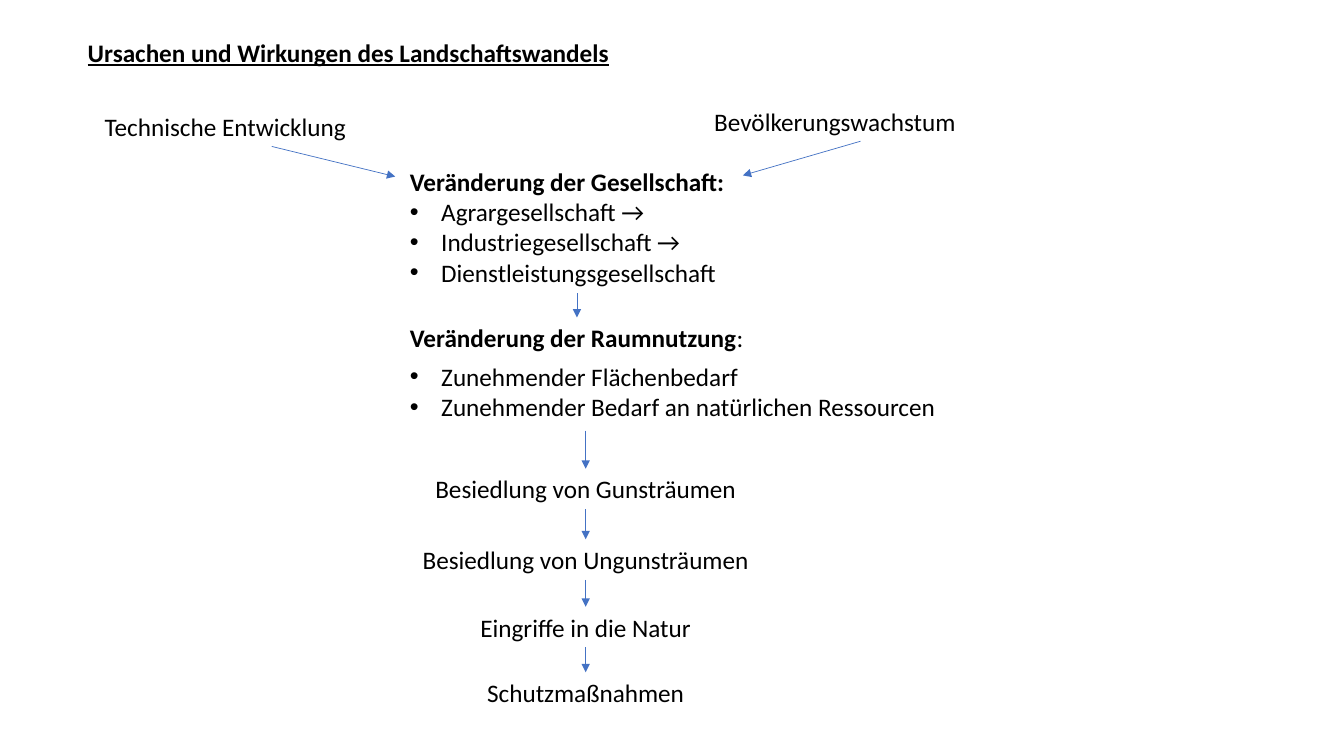
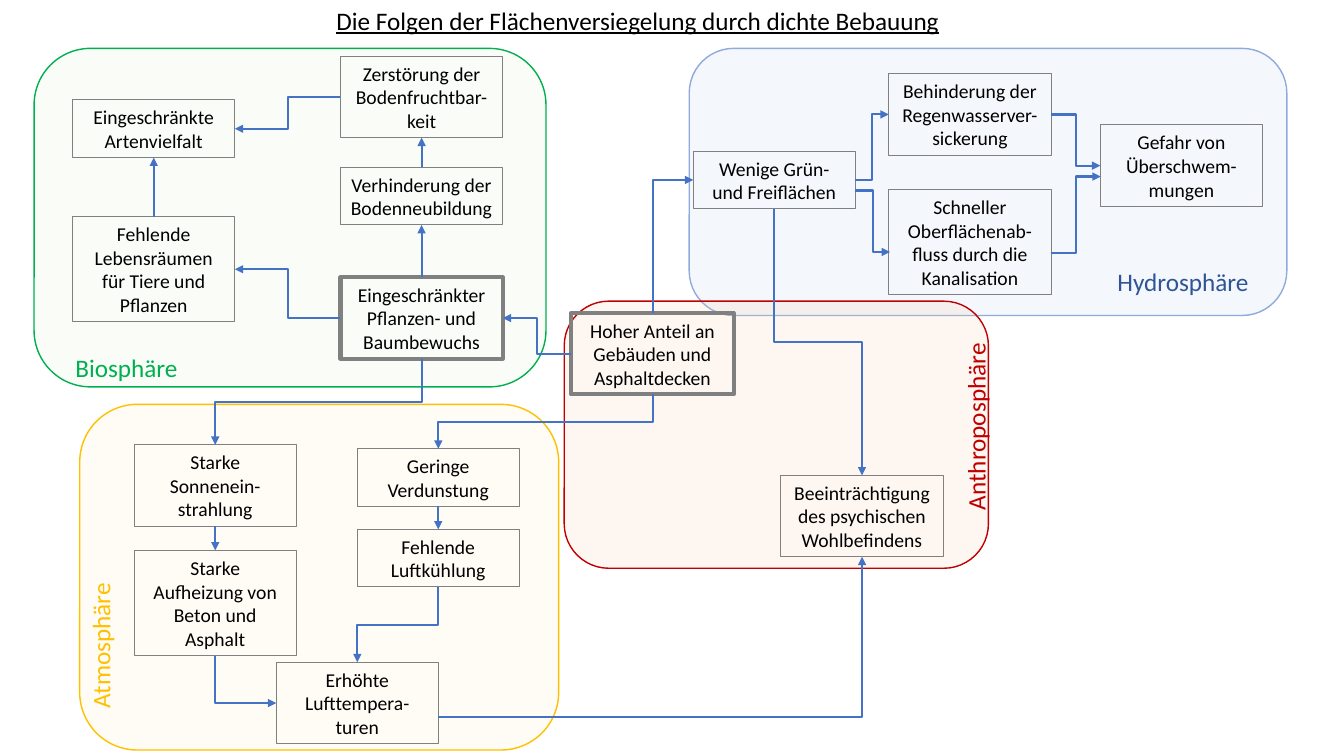
from lxml import etree
from pptx import Presentation
from pptx.dml.color import RGBColor
from pptx.enum.shapes import MSO_CONNECTOR, MSO_SHAPE
from pptx.enum.text import MSO_ANCHOR, MSO_AUTO_SIZE, PP_ALIGN
from pptx.oxml.ns import qn
from pptx.util import Cm, Pt

STRAIGHT, ELBOW = MSO_CONNECTOR.STRAIGHT, MSO_CONNECTOR.ELBOW
RECT, ROUNDED = MSO_SHAPE.RECTANGLE, MSO_SHAPE.ROUNDED_RECTANGLE
LEFT, CENTER = PP_ALIGN.LEFT, PP_ALIGN.CENTER
TOP, MIDDLE = MSO_ANCHOR.TOP, MSO_ANCHOR.MIDDLE
N, W, S, E = range(4)

FONT = "Calibri"
COLORS = {
    "text": "000000", "arrow": "4472C4", "box": "808080",
    "atmo": "FFC000", "atmo_fill": "FFF2CC",
    "bio": "00B050", "bio_fill": "E2F0D9",
    "hydro": "8FAADC", "hydro_fill": "B4C7E7", "hydro_label": "2F5597",
    "anthro": "C00000", "anthro_fill": "F8CBAD",
}
LINE_H = 1.02
BOX_W = 4.09


def rgb(name):
    return RGBColor.from_string(COLORS[name])


def add_run(p, text, size=18, color="text", bold=False, underline=False):
    r = p.add_run()
    r.text = text
    r.font.name = FONT
    r.font.size = Pt(size)
    r.font.color.rgb = rgb(color)
    r.font.bold = bold
    r.font.underline = underline


def set_frame(tf, anchor=TOP):
    tf.word_wrap = True
    tf.auto_size = MSO_AUTO_SIZE.NONE
    tf.vertical_anchor = anchor
    tf.margin_left = tf.margin_right = Cm(0.25)
    tf.margin_top = tf.margin_bottom = Cm(0.13)


def add_text(s, left, top, width, text="", height=LINE_H, color="text", align=LEFT):
    sp = s.shapes.add_textbox(Cm(left), Cm(top), Cm(width), Cm(height))
    set_frame(sp.text_frame)
    p = sp.text_frame.paragraphs[0]
    p.alignment = align
    if text:
        add_run(p, text, color=color)
    return sp


def add_bullet(p, text):
    pPr = p._p.get_or_add_pPr()
    pPr.set("marL", str(Cm(0.79)))
    pPr.set("indent", str(-Cm(0.79)))
    etree.SubElement(pPr, qn("a:buFont")).set("typeface", "Arial")
    etree.SubElement(pPr, qn("a:buChar")).set("char", "•")
    add_run(p, text)


def add_slide(prs, title, left, top, width, bold=False):
    s = prs.slides.add_slide(prs.slide_layouts[5])
    sp = s.shapes.title
    sp.left, sp.top, sp.width, sp.height = Cm(left), Cm(top), Cm(width), Cm(LINE_H)
    set_frame(sp.text_frame)
    p = sp.text_frame.paragraphs[0]
    p.alignment = LEFT
    add_run(p, title, bold=bold, underline=True)
    return s


def side_point(end, side):
    if isinstance(end, tuple):
        return Cm(end[0]), Cm(end[1])
    x = end.left + (0, 0.5, 1)[{W: 0, E: 2}.get(side, 1)] * end.width
    y = end.top + (0, 0.5, 1)[{N: 0, S: 2}.get(side, 1)] * end.height
    return int(x), int(y)


def bend(c, start, end, start_side, end_side):
    (x1, y1), (x2, y2) = start, end
    dx, dy = x2 - x1, y2 - y1
    if start_side in (N, S):
        if dx > 0 and dy > 0:
            rot, along, across = 270, -dy, dx
        else:
            rot, along, across = 90, dy, -dx
    elif dx < 0:
        rot, along, across = 180, -dx, -dy
    else:
        rot, along, across = 0, dx, dy
    c.width, c.height = abs(along), abs(across)
    c.left = (x1 + x2 - c.width) // 2
    c.top = (y1 + y2 - c.height) // 2
    xfrm = c._element.spPr.find(qn("a:xfrm"))
    xfrm.set("rot", str(rot * 60000))
    xfrm.set("flipH", str(int(along < 0)))
    xfrm.set("flipV", str(int(across < 0)))
    if start_side % 2 != end_side % 2:
        c._element.spPr.find(qn("a:prstGeom")).set("prst", "bentConnector2")


def add_arrow(s, start, start_side, end, end_side, kind=STRAIGHT, weight=0.5):
    p1, p2 = side_point(start, start_side), side_point(end, end_side)
    c = s.shapes.add_connector(kind, *p1, *p2)
    if not isinstance(start, tuple):
        c.begin_connect(start, start_side)
    if not isinstance(end, tuple):
        c.end_connect(end, end_side)
    if kind == ELBOW:
        bend(c, p1, p2, start_side, end_side)
    c.line.color.rgb = rgb("arrow")
    c.line.width = Pt(weight)
    etree.SubElement(c.line._get_or_add_ln(), qn("a:tailEnd")).set("type", "triangle")
    etree.SubElement(c._element.spPr, qn("a:effectLst"))


def add_society(s, left, top):
    society = add_text(s, left, top, 8.92, height=3.33)
    tf = society.text_frame
    add_run(tf.paragraphs[0], "Veränderung der Gesellschaft:", bold=True)
    for text in ("Agrargesellschaft →", "Industriegesellschaft →",
                 "Dienstleistungsgesellschaft"):
        add_bullet(tf.add_paragraph(), text)
    technology = add_text(s, left - 7.69, top - 1.39, 8.92, "Technische Entwicklung")
    population = add_text(s, left + 7.67, top - 1.52, 7.87, "Bevölkerungswachstum")
    add_arrow(s, technology, S, (left - 0.12, top + 0.39), W)
    add_arrow(s, population, S, (left + 8.64, top + 0.36), E)
    return society


def add_land_use(s, left, top):
    heading = add_text(s, left, top, 8.92)
    p = heading.text_frame.paragraphs[0]
    add_run(p, "Veränderung der Raumnutzung", bold=True)
    add_run(p, ":")
    tf = add_text(s, left, top + 0.97, 14.76, height=1.8).text_frame
    add_bullet(tf.paragraphs[0], "Zunehmender Flächenbedarf")
    add_bullet(tf.add_paragraph(), "Zunehmender Bedarf an natürlichen Ressourcen")
    return heading


def add_consequences(s, left, top, width):
    previous = (left + width / 2, top - 0.96)
    for offset, text in ((0, "Besiedlung von Gunsträumen"),
                         (1.78, "Besiedlung von Ungunsträumen"),
                         (3.48, "Eingriffe in die Natur"),
                         (5.13, "Schutzmaßnahmen")):
        step = add_text(s, left, top + offset, width, text, align=CENTER)
        add_arrow(s, previous, S, step, N)
        previous = step


def build_causes(prs):
    s = add_slide(prs, "Ursachen und Wirkungen des Landschaftswandels",
                  1.96, 0.81, 25.27, bold=True)
    society = add_society(s, 10.08, 4.06)
    land_use = add_land_use(s, 10.08, 8)
    add_arrow(s, society, S, land_use, N)
    add_consequences(s, 10.3, 11.81, 8.92)


def add_outline(s, shape, left, top, width, height, color, weight):
    sp = s.shapes.add_shape(shape, Cm(left), Cm(top), Cm(width), Cm(height))
    sp.shadow.inherit = False
    sp.fill.background()
    sp.line.color.rgb = rgb(color)
    sp.line.width = Pt(weight)
    return sp


def add_box(s, left, top, lines, text, weight=0.75):
    sp = add_outline(s, RECT, left, top, BOX_W, 0.25 + 0.6 * lines, "box", weight)
    set_frame(sp.text_frame, MIDDLE)
    p = sp.text_frame.paragraphs[0]
    p.alignment = CENTER
    add_run(p, text, size=14)
    return sp


def add_sphere(s, area, color, alpha, label, boxes):
    left, top, width, height = area
    sp = add_outline(s, ROUNDED, left, top, width, height, color, 1)
    sp.fill.solid()
    sp.fill.fore_color.rgb = rgb(color + "_fill")
    clr = sp._element.spPr.find(qn("a:solidFill"))[0]
    etree.SubElement(clr, qn("a:alpha")).set("val", str(alpha * 1000))
    text, x, y, label_width, rotation, label_color = label
    add_text(s, left + x, top + y, label_width, text,
             color=label_color).rotation = rotation
    return [add_box(s, left + x, top + y, *rest) for x, y, *rest in boxes]


def build_sealing(prs):
    s = add_slide(prs, "Die Folgen der Flächenversiegelung durch dichte Bebauung",
                  8.23, 0, 17.35)
    sun, heating, evaporation, cooling, warm_air = add_sphere(
        s, (2.01, 10.19, 12.07, 8.71), "atmo", 17,
        ("Atmosphäre", -1.9, 4.98, 4.83, 270, "atmo"),
        [(1.37, 1.02, 3, "Starke Sonnenein-strahlung"),
         (1.37, 3.68, 4, "Starke Aufheizung von Beton und Asphalt"),
         (6.99, 1.12, 2, "Geringe Verdunstung"),
         (6.99, 3.15, 2, "Fehlende Luftkühlung"),
         (4.95, 6.5, 3, "Erhöhte Lufttempera-turen")])
    fertility, soil, plants, species, habitats = add_sphere(
        s, (0.86, 1.22, 12.9, 8.53), "bio", 17,
        ("Biosphäre", 0.79, 7.52, 3.35, 0, "bio"),
        [(7.72, 0.2, 3, "Zerstörung der Bodenfruchtbar-keit"),
         (7.72, 3, 2, "Verhinderung der Bodenneubildung"),
         (7.72, 5.77, 3, "Eingeschränkter Pflanzen- und Baumbewuchs", 3),
         (0.97, 1.3, 2, "Eingeschränkte Artenvielfalt"),
         (0.97, 4.24, 4, "Fehlende Lebensräumen für Tiere und Pflanzen")])
    green, seepage, runoff, flooding = add_sphere(
        s, (17.37, 1.22, 15.06, 6.73), "hydro", 14,
        ("Hydrosphäre", 10.54, 5.36, 4.83, 0, "hydro_label"),
        [(0.1, 2.59, 2, "Wenige Grün- und Freiflächen"),
         (5.03, 0.64, 3, "Behinderung der Regenwasserver-sickerung"),
         (5.03, 3.56, 4, "Schneller Oberflächenab-fluss durch die Kanalisation"),
         (10.36, 1.93, 3, "Gefahr von Überschwem-mungen")])
    buildings, wellbeing = add_sphere(
        s, (14.22, 7.59, 10.69, 6.73), "anthro", 17,
        ("Anthroposphäre", 7.95, 2.59, 4.83, 270, "anthro"),
        [(0.18, 0.3, 3, "Hoher Anteil an Gebäuden und Asphaltdecken", 3),
         (5.46, 4.39, 3, "Beeinträchtigung des psychischen Wohlbefindens")])

    for start, start_side, end, end_side in (
            (habitats, N, species, S), (plants, N, soil, S), (soil, N, fertility, S),
            (evaporation, S, cooling, N), (sun, S, heating, N)):
        add_arrow(s, start, start_side, end, end_side, weight=1.5)
    for start, start_side, end, end_side in (
            (buildings, N, green, W), (buildings, W, plants, E),
            (buildings, S, evaporation, N), (green, E, seepage, W),
            ((21.56, 4.8), E, (22.43, 6.35), W), (seepage, E, flooding, W),
            ((26.49, 6.38), E, (27.74, 4.45), W), (green, S, wellbeing, N),
            (plants, W, habitats, E), (fertility, W, species, E),
            (plants, S, sun, N), (cooling, S, warm_air, N),
            (heating, S, warm_air, W), ((11.05, 18.08), E, wellbeing, S)):
        add_arrow(s, start, start_side, end, end_side, ELBOW, 1.5)


def main():
    prs = Presentation()
    prs.slide_width, prs.slide_height = Cm(33.87), Cm(19.05)
    build_causes(prs)
    build_sealing(prs)
    prs.save("out.pptx")


if __name__ == "__main__":
    main()
